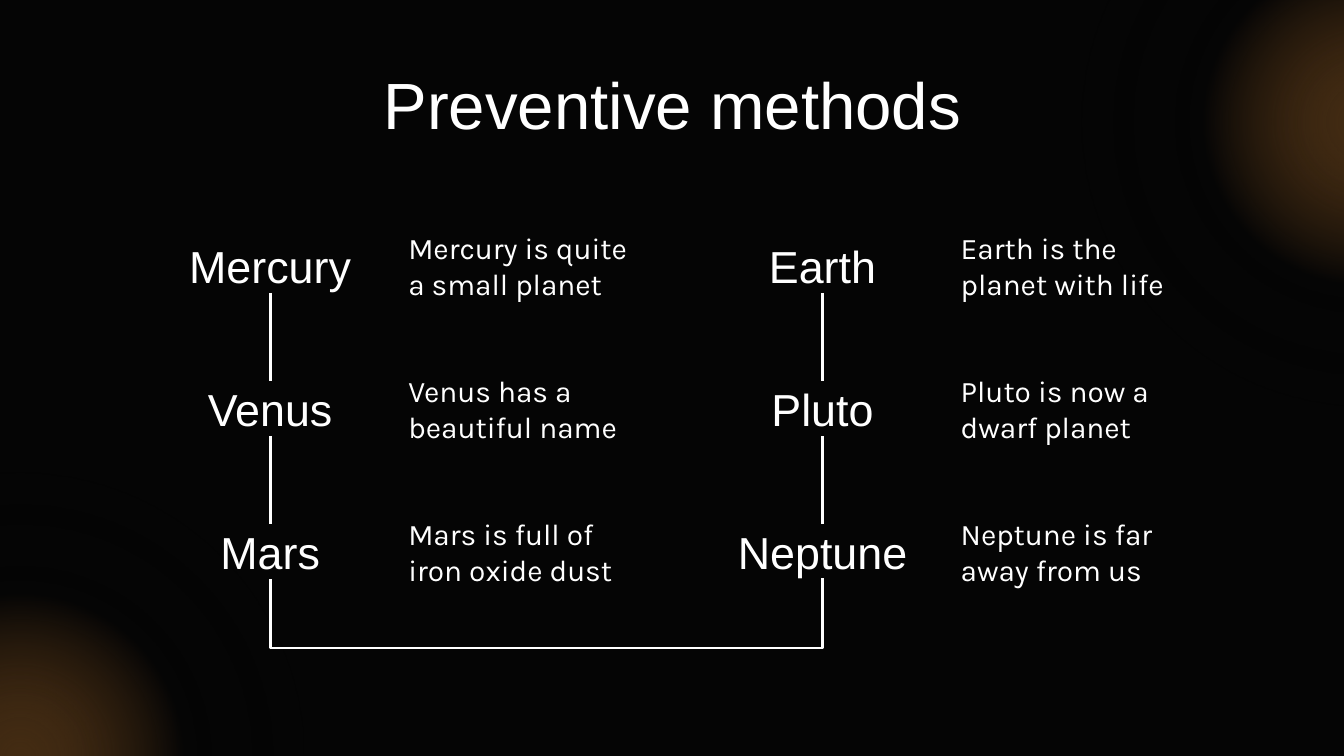
from lxml import etree
from pptx import Presentation
from pptx.dml.color import RGBColor
from pptx.enum.shapes import MSO_CONNECTOR as Connector, MSO_SHAPE as Shape
from pptx.enum.text import MSO_ANCHOR as Anchor, PP_ALIGN as Align
from pptx.oxml import parse_xml
from pptx.oxml.ns import nsdecls, qn
from pptx.util import Inches, Pt

TITLE = "Preventive methods"
COLUMNS = [
    [("Mercury", "Mercury is quite a small planet"),
     ("Venus", "Venus has a beautiful name"),
     ("Mars", "Mars is full of iron oxide dust")],
    [("Earth", "Earth is the planet with life"),
     ("Pluto", "Pluto is now a dwarf planet"),
     ("Neptune", "Neptune is far away from us")],
]
BLACK, WHITE = "050505", "FFFFFF"
GLOW_STOPS = [(0, "E69138", 27), (41, BLACK, 54), (78, BLACK, 0), (100, BLACK, 0)]
GLOWS = [(8.05, -1.21), (-1.97, 3.52)]
GLOW_SIZE = 4.23

SLIDE_WIDTH = Inches(10)
SLIDE_HEIGHT = SLIDE_WIDTH * 9 // 16
COLUMN_LEFTS = [1.08, 5.19]
ROW_TOP, ROW_BOTTOM = 1.77, 3.9
CELL_WIDTH, NAME_HEIGHT, FACT_HEIGHT = 1.86, 0.41, 0.6
LOOP_DROP, LOOP_RISE = 0.52, 0.01


def color(hex_value):
    return RGBColor.from_string(hex_value)


def add_text(slide, text, left, top, width, height, *, size, font="Arial",
             align=Align.LEFT, anchor=Anchor.MIDDLE, spacing=None):
    frame = slide.shapes.add_textbox(
        Inches(left), Inches(top), Inches(width), Inches(height)).text_frame
    frame.word_wrap = True
    frame.vertical_anchor = anchor
    frame.margin_left = frame.margin_right = Inches(0.1)
    frame.margin_top = frame.margin_bottom = Inches(0.1)
    paragraph = frame.paragraphs[0]
    paragraph.alignment = align
    paragraph.line_spacing = spacing
    run = paragraph.add_run()
    run.text = text
    run.font.size = Pt(size)
    run.font.name = font
    run.font.color.rgb = color(WHITE)


def add_glow(slide, left, top):
    """Add a circle whose radial gradient fades into the background."""
    glow = slide.shapes.add_shape(Shape.OVAL, Inches(left), Inches(top),
                                  Inches(GLOW_SIZE), Inches(GLOW_SIZE))
    glow.shadow.inherit = False
    glow.line.fill.background()
    glow.fill.background()
    stops = "".join(
        f'<a:gs pos="{position * 1000}"><a:srgbClr val="{hex_value}">'
        f'<a:alpha val="{alpha * 1000}"/></a:srgbClr></a:gs>'
        for position, hex_value, alpha in GLOW_STOPS)
    gradient = parse_xml(
        f'<a:gradFill {nsdecls("a")} rotWithShape="1"><a:gsLst>{stops}</a:gsLst>'
        '<a:path path="circle"><a:fillToRect l="50000" t="50000" r="50000" b="50000"/>'
        '</a:path></a:gradFill>')
    properties = glow._element.spPr
    properties.replace(properties.find(qn("a:noFill")), gradient)


def add_line(slide, x1, y1, x2, y2, kind=Connector.STRAIGHT):
    line = slide.shapes.add_connector(
        kind, Inches(x1), Inches(y1), Inches(x2), Inches(y2))
    line.line.color.rgb = color(WHITE)
    line.line.width = Pt(1.5)
    etree.SubElement(line._element.spPr, qn("a:effectLst"))
    return line


def add_loop(slide, x1, x2, y):
    """Join two columns with an elbow that hangs below them."""
    center, middle, half = (x1 + x2) / 2, y - LOOP_RISE / 2, (x2 - x1) / 2
    loop = add_line(slide, center - LOOP_RISE / 2, middle - half,
                    center + LOOP_RISE / 2, middle + half, Connector.ELBOW)
    properties = loop._element.spPr
    properties.find(qn("a:xfrm")).set("rot", str(270 * 60000))
    geometry = properties.find(qn("a:prstGeom"))
    adjustments = geometry.find(qn("a:avLst"))
    if adjustments is None:
        adjustments = etree.SubElement(geometry, qn("a:avLst"))
    drop = round(-LOOP_DROP / LOOP_RISE * 100000)
    etree.SubElement(adjustments, qn("a:gd"), name="adj1", fmla=f"val {drop}")


def main():
    deck = Presentation()
    deck.slide_width, deck.slide_height = SLIDE_WIDTH, SLIDE_HEIGHT
    slide = deck.slides.add_slide(deck.slide_layouts[6])
    slide.background.fill.solid()
    slide.background.fill.fore_color.rgb = color(BLACK)

    for left, top in GLOWS:
        add_glow(slide, left, top)
    add_text(slide, TITLE, 0.79, 0.49, 8.43, 0.63, size=35,
             align=Align.CENTER, anchor=Anchor.TOP, spacing=0.8)

    centers = [left + CELL_WIDTH / 2 for left in COLUMN_LEFTS]
    for left, center, planets in zip(COLUMN_LEFTS, centers, COLUMNS):
        pitch = (ROW_BOTTOM - ROW_TOP) / (len(planets) - 1)
        for row, (name, fact) in enumerate(planets):
            top = ROW_TOP + row * pitch
            if row:
                add_line(slide, center, top - pitch + NAME_HEIGHT, center, top)
            add_text(slide, name, left, top, CELL_WIDTH, NAME_HEIGHT,
                     size=24, align=Align.CENTER)
            add_text(slide, fact, left + CELL_WIDTH,
                     top + (NAME_HEIGHT - FACT_HEIGHT) / 2,
                     CELL_WIDTH, FACT_HEIGHT, size=16, font="Karla")
    add_loop(slide, *centers, ROW_BOTTOM + NAME_HEIGHT)
    deck.save("out.pptx")


if __name__ == "__main__":
    main()
